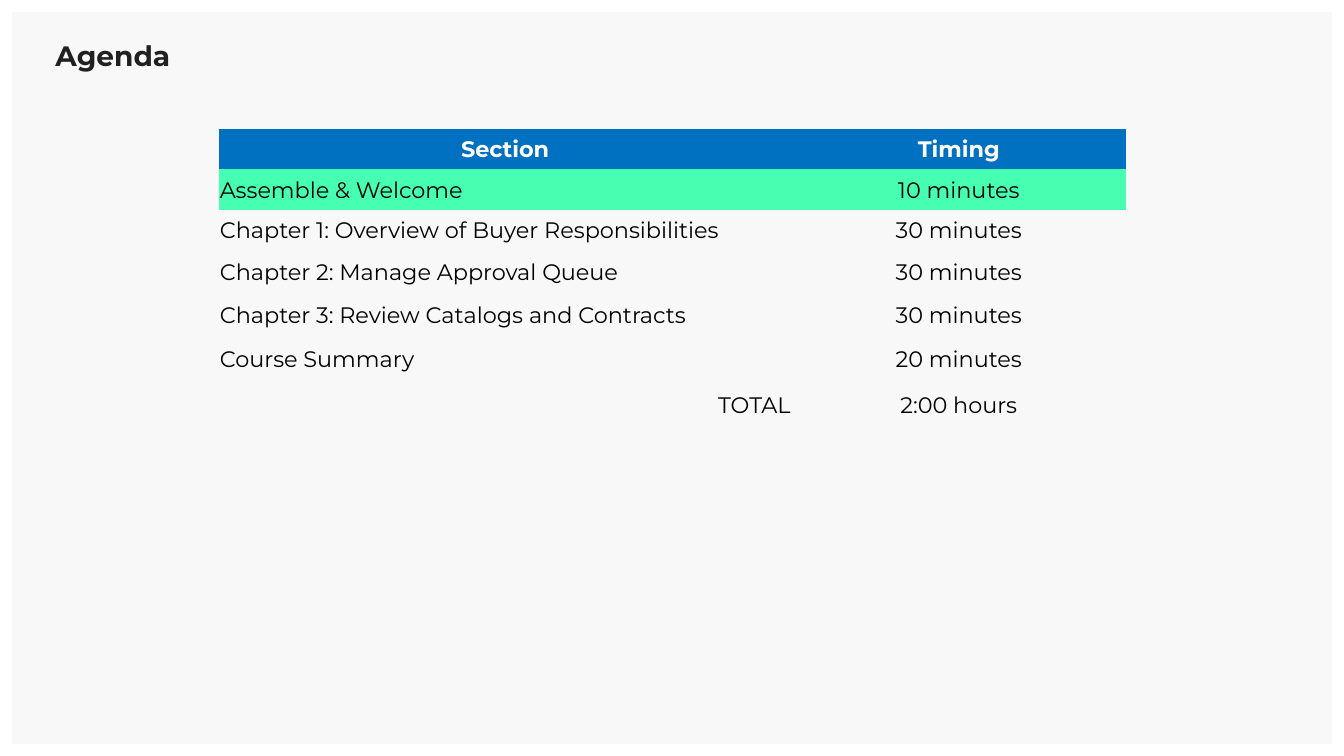
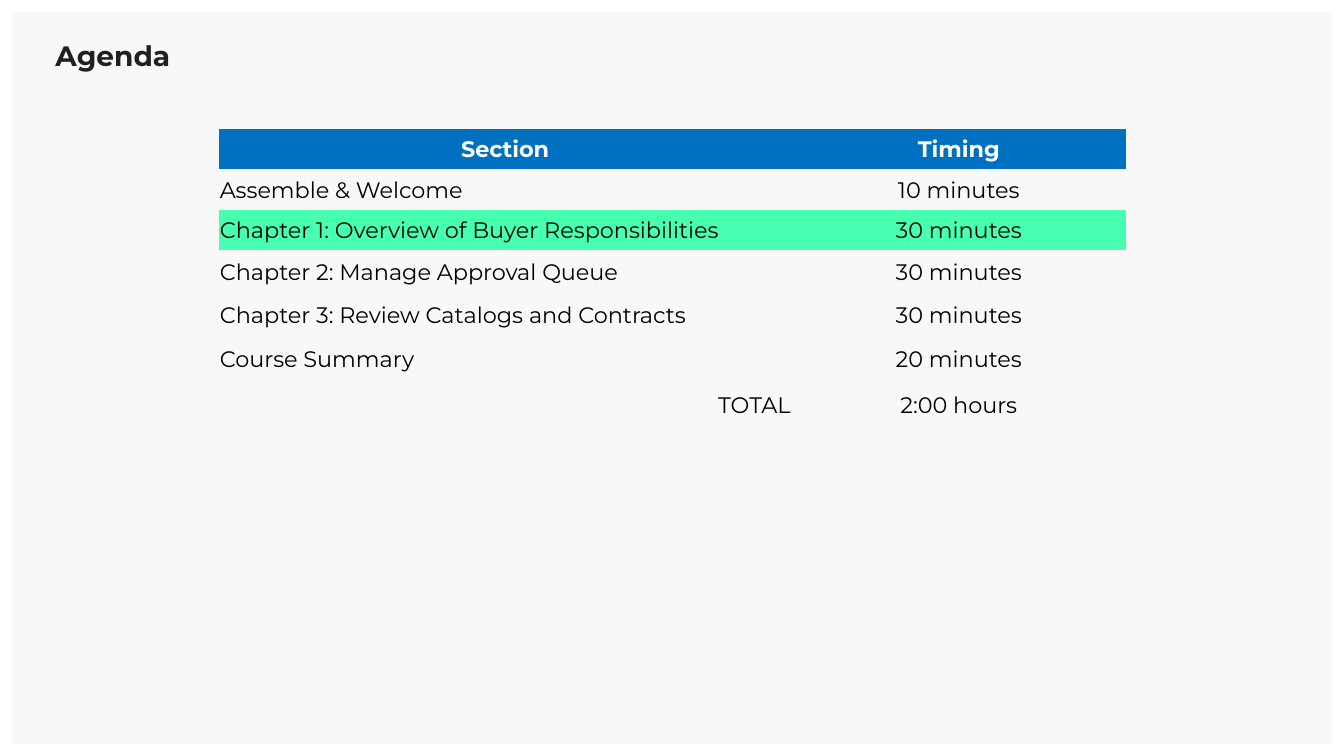
from dataclasses import dataclass

from pptx import Presentation
from pptx.dml.color import RGBColor
from pptx.enum.shapes import MSO_SHAPE
from pptx.enum.text import MSO_ANCHOR, PP_ALIGN
from pptx.oxml.ns import qn
from pptx.util import Pt

EMU_PER_PX = 9144
BLANK_LAYOUT = 6
NO_STYLE_NO_GRID = "{2D5ABB26-0587-4C30-8999-92F81FD0307C}"


@dataclass(frozen=True)
class Theme:
    """Colours, font and type sizes shared by the slides."""

    font: str = "Montserrat"
    panel: RGBColor = RGBColor(0xF8, 0xF8, 0xF8)
    title: RGBColor = RGBColor(0x20, 0x20, 0x20)
    header: RGBColor = RGBColor(0x00, 0x70, 0xC0)
    header_text: RGBColor = RGBColor(0xFF, 0xFF, 0xFF)
    highlight: RGBColor = RGBColor(0x47, 0xFF, 0xB0)
    body: RGBColor = RGBColor(0x00, 0x00, 0x00)
    title_size: int = 20
    table_size: int = 16


THEME = Theme()
SLIDE_SIZE = (1333, 750)
PANEL_BOX = (12, 12, 1309, 726)
TITLE_BOX = (55, 35, 1224, 37)
TABLE_ORIGIN = (217, 128)
COLUMN_WIDTHS = (568, 332)
ROW_HEIGHTS = (40, 40, 40, 43, 43, 44, 47)
AGENDA = (
    ("Section", "Timing"),
    ("Assemble & Welcome", "10 minutes"),
    ("Chapter 1: Overview of Buyer Responsibilities", "30 minutes"),
    ("Chapter 2: Manage Approval Queue", "30 minutes"),
    ("Chapter 3: Review Catalogs and Contracts", "30 minutes"),
    ("Course Summary", "20 minutes"),
    ("TOTAL", "2:00 hours"),
)
HEADER_ROW = 0
TOTAL_ROW = len(AGENDA) - 1
HIGHLIGHTED_ROWS = (1, 2)


def px(*lengths):
    """Turn pixel lengths into a list of EMU."""
    return [length * EMU_PER_PX for length in lengths]


def apply_format(target, values):
    """Set each named attribute on the target."""
    for name, value in values.items():
        setattr(target, name, value)


def write_text(paragraph, text, size, colour, bold):
    """Add one run in the theme font."""
    run = paragraph.add_run()
    run.text = text
    apply_format(run.font, {"name": THEME.font, "size": Pt(size), "bold": bold})
    run.font.color.rgb = colour


def add_panel(slide):
    """Draw the pale panel behind the content."""
    shape = slide.shapes.add_shape(MSO_SHAPE.RECTANGLE, *px(*PANEL_BOX))
    shape.shadow.inherit = False
    shape.fill.solid()
    shape.fill.fore_color.rgb = THEME.panel
    shape.line.fill.background()


def add_title(slide, text):
    """Write the slide title."""
    frame = slide.shapes.add_textbox(*px(*TITLE_BOX)).text_frame
    apply_format(frame, {
        "word_wrap": True,
        "margin_left": 0,
        "margin_top": 0,
        "margin_right": 0,
        "margin_bottom": 0,
    })
    paragraph = frame.paragraphs[0]
    paragraph.line_spacing = 1.1
    write_text(paragraph, text, THEME.title_size, THEME.title, True)


def cell_alignment(row, column):
    """Choose the alignment of a cell from its place."""
    if row == HEADER_ROW or column > 0:
        return PP_ALIGN.CENTER
    return PP_ALIGN.RIGHT if row == TOTAL_ROW else PP_ALIGN.LEFT


def fill_cell(cell, colour):
    """Fill a cell, or leave it clear when there is no colour."""
    if colour is None:
        cell.fill.background()
    else:
        cell.fill.solid()
        cell.fill.fore_color.rgb = colour


def add_agenda_table(slide, highlighted_row):
    """Build the agenda table with one row highlighted."""
    size = (sum(COLUMN_WIDTHS), sum(ROW_HEIGHTS))
    shape = slide.shapes.add_table(
        len(AGENDA), len(COLUMN_WIDTHS), *px(*TABLE_ORIGIN, *size))
    for style in shape.element.iter(qn("a:tableStyleId")):
        style.text = NO_STYLE_NO_GRID
    table = shape.table
    apply_format(table, {"first_row": False, "horz_banding": False})
    for column, width in zip(table.columns, px(*COLUMN_WIDTHS)):
        column.width = width
    for row, height in zip(table.rows, px(*ROW_HEIGHTS)):
        row.height = height

    fills = {HEADER_ROW: THEME.header, highlighted_row: THEME.highlight}
    margin, = px(1)
    for row, texts in enumerate(AGENDA):
        is_header = row == HEADER_ROW
        colour = THEME.header_text if is_header else THEME.body
        for column, text in enumerate(texts):
            cell = table.cell(row, column)
            apply_format(cell, {
                "vertical_anchor": MSO_ANCHOR.MIDDLE,
                "margin_left": margin,
                "margin_top": margin,
                "margin_right": margin,
                "margin_bottom": 0,
            })
            fill_cell(cell, fills.get(row))
            paragraph = cell.text_frame.paragraphs[0]
            paragraph.alignment = cell_alignment(row, column)
            write_text(paragraph, text, THEME.table_size, colour, is_header)


def main():
    """Build the agenda slides and save them."""
    presentation = Presentation()
    presentation.slide_width, presentation.slide_height = px(*SLIDE_SIZE)
    for highlighted_row in HIGHLIGHTED_ROWS:
        slide = presentation.slides.add_slide(
            presentation.slide_layouts[BLANK_LAYOUT])
        add_panel(slide)
        add_title(slide, "Agenda")
        add_agenda_table(slide, highlighted_row)
    presentation.save("out.pptx")


if __name__ == "__main__":
    main()
